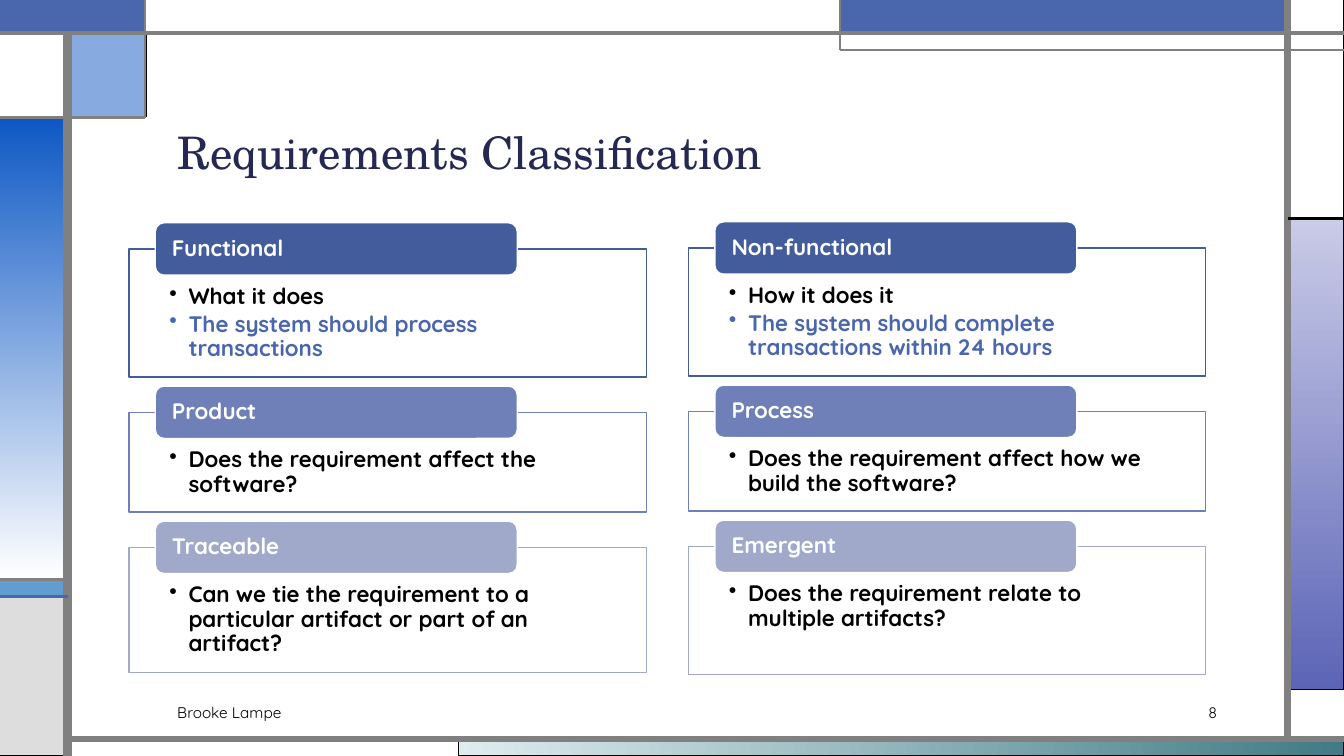
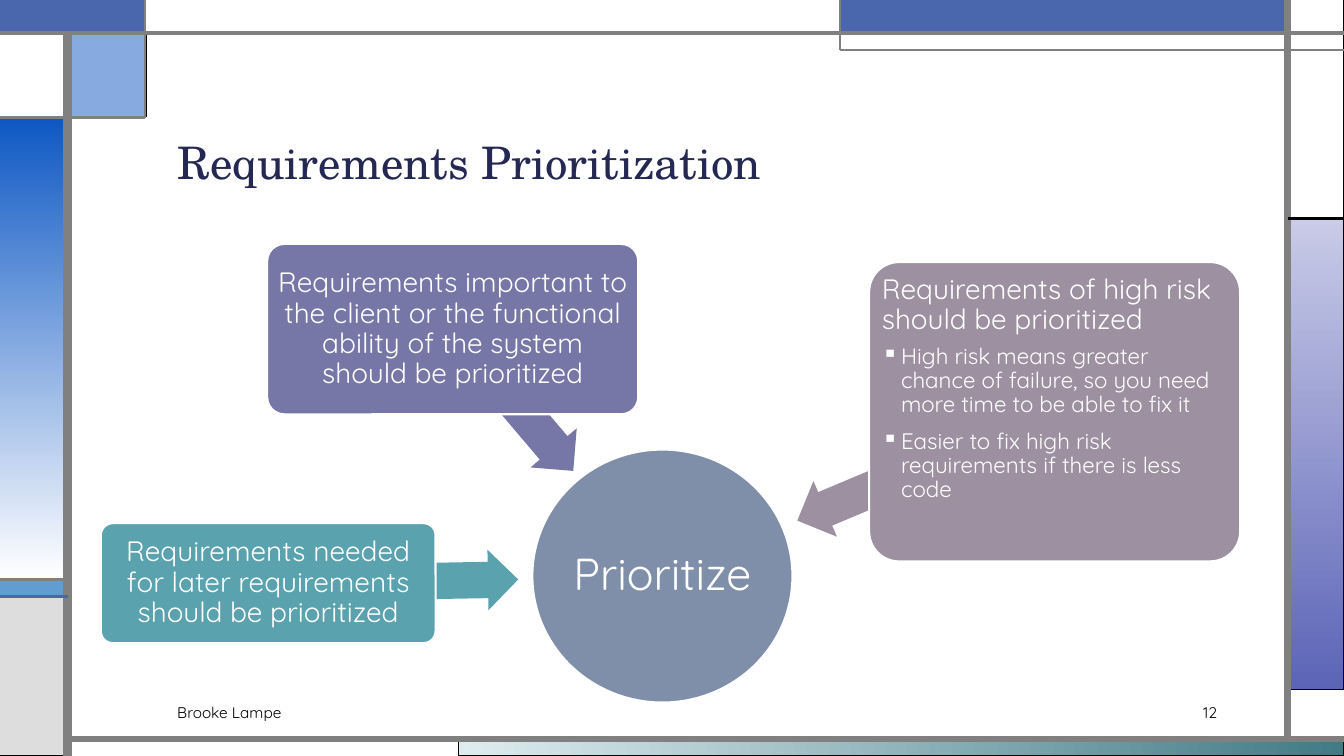
import pptx
import pptx.dml.color
import pptx.enum.shapes
import pptx.enum.text
import pptx.oxml.ns
import pptx.util
from lxml import etree

Inches = pptx.util.Inches
Pt = pptx.util.Pt
SHAPE = pptx.enum.shapes.MSO_SHAPE
ALIGN = pptx.enum.text.PP_ALIGN
ANCHOR = pptx.enum.text.MSO_ANCHOR

WIDE, HIGH = 13.33, 7.5
WHITE, BLACK, GRAY = "FFFFFF", "000000", "808080"
BLUE, DEEP, NAVY = "4A66AC", "0E58C4", "242852"


def color(code):
    return pptx.dml.color.RGBColor.from_string(code)


def add_tag(parent, name, **attrs):
    return etree.SubElement(parent, pptx.oxml.ns.qn(name), **attrs)


class Deck:
    """Holds the shared style and the slide being filled."""

    head, body = "TeX Gyre Schola", "Quicksand"

    def __init__(self):
        self.show = pptx.Presentation()
        self.show.slide_width = Inches(WIDE)
        self.show.slide_height = Inches(HIGH)
        self.layout = self.show.slide_layouts[5]
        self.slide = None

    def start(self, title, top, number):
        first = self.slide is None
        self.slide = self.show.slides.add_slide(self.layout)
        if first:
            self.frame()
        self.title(title, top)
        self.label("Brooke Lampe", 1.66, 7.5)
        self.label(number, 11.09, 1.08, ALIGN.RIGHT)

    def frame(self):
        """Draw the bands and rules once, then move them to the layout."""
        for holder in list(self.layout.placeholders)[1:]:
            holder.element.getparent().remove(holder.element)
        for at, fill, edge, width in BANDS:
            self.shape(SHAPE.RECTANGLE, at, fill, edge, width)
        for ends, edge, width in RULES:
            self.line(ends, edge, width)
        parts = [s.element for s in self.slide.shapes if not s.is_placeholder]
        for spot, part in enumerate(parts, 2):
            self.layout.shapes.element.insert(spot, part)

    def title(self, text, top):
        box = self.slide.shapes.title
        box.left, box.top = Inches(1.66), Inches(top)
        box.width, box.height = Inches(10.5), Inches(1.25)
        frame = box.text_frame
        frame.vertical_anchor = ANCHOR.BOTTOM
        frame.text = text
        self.style(frame.paragraphs[0], 32, NAVY, face=self.head)

    def label(self, text, left, width, align=ALIGN.LEFT):
        box = self.slide.shapes.add_textbox(
            Inches(left), Inches(6.92), Inches(width), Inches(0.3))
        box.text_frame.word_wrap = True
        box.text_frame.vertical_anchor = ANCHOR.MIDDLE
        para = box.text_frame.paragraphs[0]
        para.text = text
        self.style(para, 11, BLACK, align, space=1)

    def shape(self, kind, at, fill, edge=None, width=1, adjust=(), turn=0):
        """Fill is a colour, or (from, to, angle) for a gradient."""
        shape = self.slide.shapes.add_shape(kind, *map(Inches, at))
        shape.shadow.inherit = False
        shape.rotation = turn
        for index, value in enumerate(adjust):
            shape.adjustments[index] = value
        if isinstance(fill, tuple):
            shape.fill.gradient()
            shape.fill.gradient_angle = fill[2]
            for stop, code in zip(shape.fill.gradient_stops, fill):
                stop.color.rgb = color(code)
        else:
            shape.fill.solid()
            shape.fill.fore_color.rgb = color(fill)
        if edge:
            shape.line.color.rgb = color(edge)
            shape.line.width = Pt(width)
        else:
            shape.line.fill.background()
        return shape

    def line(self, ends, edge, width):
        line = self.slide.shapes.add_connector(
            pptx.enum.shapes.MSO_CONNECTOR.STRAIGHT, *map(Inches, ends))
        line.line.color.rgb = color(edge)
        line.line.width = Pt(width)
        add_tag(line.element.spPr, "a:effectLst")

    def pad(self, shape, left, top, right, bottom, anchor=ANCHOR.MIDDLE):
        frame = shape.text_frame
        frame.word_wrap = True
        frame.vertical_anchor = anchor
        frame.margin_left, frame.margin_right = Inches(left), Inches(right)
        frame.margin_top, frame.margin_bottom = Inches(top), Inches(bottom)

    def say(self, shape, text, size, ink=WHITE, align=ALIGN.LEFT,
            bold=False, bullet=None, after=0):
        """Add one paragraph, using the empty first one if there is one."""
        frame = shape.text_frame
        para = frame.paragraphs[0]
        if para.runs:
            para = frame.add_paragraph()
        para.text = text
        if bullet:
            props = para._p.get_or_add_pPr()
            props.set("marL", str(Inches(0.19)))
            props.set("indent", str(-Inches(0.19)))
            add_tag(props, "a:buChar", char=bullet)
        para.space_after = Pt(after)
        self.style(para, size, ink, align, bold)

    def style(self, para, size, ink, align=ALIGN.LEFT, bold=False,
              face=None, space=0.9):
        para.alignment = align
        para.line_spacing = space
        font = para.font
        font.name = face or self.body
        font.size, font.bold = Pt(size), bold
        font.color.rgb = color(ink)

    def card(self, left, top, height, hue, name, lines):
        """Draw an outlined list with a name tab over its top edge."""
        box = self.shape(SHAPE.RECTANGLE, (left, top, 5.13, height),
                         WHITE, hue)
        self.pad(box, 0.4, 0.36, 0.4, 0.12, ANCHOR.TOP)
        for text, ink in zip(lines, (BLACK, BLUE)):
            self.say(box, text, 16, ink, bold=True, bullet="•", after=2.4)
        tab = self.shape(SHAPE.ROUNDED_RECTANGLE,
                         (left + 0.26, top - 0.26, 3.59, 0.52), hue, WHITE)
        self.pad(tab, 0.14, 0, 0.14, 0)
        self.say(tab, name, 16, bold=True)

    def reason(self, at, hue, arrow, turn, text, points=()):
        """Draw a rounded box and the arrow that leaves from behind it."""
        self.shape(SHAPE.LEFT_ARROW, arrow, hue, adjust=(0.6, 0.5), turn=turn)
        box = self.shape(SHAPE.ROUNDED_RECTANGLE, at, hue, WHITE, 1.5, (0.1,))
        anchor, align = ANCHOR.MIDDLE, ALIGN.CENTER
        if points:
            anchor, align = ANCHOR.TOP, ALIGN.LEFT
        self.pad(box, 0.04, 0.04, 0.04, 0.04, anchor)
        self.say(box, text, 20, align=align, after=7 if points else 0)
        for point in points:
            self.say(box, point, 16, bullet="▪", after=9)


BANDS = [
    ((4.55, 7.33, 8.78, 0.17), ("DEECEF", "417B85", 0), BLACK, 0.75),
    ((12.77, 2.17, 0.56, 4.67), ("C9CBE7", "5C64B7", 270), BLACK, 0.75),
    ((0, 5.75, 0.67, 0.17), "629DD1", BLACK, 0.75),
    ((0, 5.92, 0.67, 1.58), "DDDDDD", BLACK, 0.75),
    ((12.77, 0, 0.56, 2.17), WHITE, BLACK, 0.75),
    ((8.33, 0, 4.44, 0.33), BLUE, "297FD5", 0.75),
    ((0.67, 0.33, 0.78, 0.83), "87ABE1", BLACK, 0.75),
    ((0, 1.17, 0.67, 4.58), (DEEP, WHITE, 270), BLACK, 0.75),
    ((0, 0.33, 0.67, 0.83), WHITE, BLACK, 0.75),
    ((0, 0, 1.44, 0.33), BLUE, BLUE, 1.5),
    ((1.44, 0, 6.89, 0.33), WHITE, GRAY, 0.75),
]
RULES = [
    ((0.67, HIGH, 0.67, 0.33), GRAY, 6),
    ((0.67, 7.33, WIDE, 7.33), GRAY, 4.5),
    ((12.77, 7.33, 12.77, 0), GRAY, 4.5),
    ((0, 0.33, WIDE, 0.33), GRAY, 3),
    ((WIDE, 0.5, 8.33, 0.5), GRAY, 1.5),
    ((8.33, 0.5, 8.33, 0), GRAY, 1.5),
    ((12.77, 2.17, WIDE, 2.17), BLACK, 2.25),
    ((1.44, 0, 1.44, 1.17), GRAY, 1.5),
    ((1.44, 1.17, 0, 1.17), GRAY, 2.25),
    ((0.67, 5.75, 0, 5.75), GRAY, 2.25),
    ((0.67, 5.92, 0, 5.92), BLUE, 2.25),
]
HUES = ("435D9C", "6E80B7", "A1A9CA")
KINDS = [
    (1.28, 2.47, [
        (1.27, "Functional",
         ["What it does", "The system should process transactions"]),
        (0.99, "Product", ["Does the requirement affect the software?"]),
        (1.24, "Traceable", ["Can we tie the requirement to a particular "
                             "artifact or part of an artifact?"]),
    ]),
    (6.83, 2.46, [
        (1.27, "Non-functional",
         ["How it does it",
          "The system should complete transactions within 24 hours"]),
        (0.99, "Process",
         ["Does the requirement affect how we build the software?"]),
        (1.27, "Emergent",
         ["Does the requirement relate to multiple artifacts?"]),
    ]),
]


def classes(deck):
    deck.start("Requirements Classification", 0.58, "8")
    for left, top, cards in KINDS:
        for hue, (height, name, lines) in zip(HUES, cards):
            deck.card(left, top, height, hue, name, lines)
            top += height + 0.35


def ranking(deck):
    deck.start("Requirements Prioritization", 0.68, "12")
    hub = deck.shape(SHAPE.OVAL, (5.28, 4.46, 2.58, 2.51), "7F8FA9",
                     WHITE, 1.5)
    deck.pad(hub, 0.02, 0.02, 0.02, 0.02)
    deck.say(hub, "Prioritize", 32, align=ALIGN.CENTER)
    deck.reason((1, 5.19, 3.32, 1.19), "5AA2AE", (2.66, 5.47, 2.48, 0.6), 179,
                "Requirements needed for later requirements should be "
                "prioritized")
    deck.reason((2.65, 2.42, 3.68, 1.69), "7677A6",
                (4.17, 3.67, 1.84, 0.6), 229.7,
                "Requirements important to the client or the functional "
                "ability of the system should be prioritized")
    deck.reason((8.62, 2.6, 3.68, 2.97), "9D90A0",
                (7.8, 4.33, 2.76, 0.6), 337.2,
                "Requirements of high risk should be prioritized",
                ["High risk means greater chance of failure, so you need "
                 "more time to be able to fix it",
                 "Easier to fix high risk requirements if there is less code"])


def main():
    deck = Deck()
    classes(deck)
    ranking(deck)
    deck.show.save("out.pptx")


if __name__ == "__main__":
    main()
